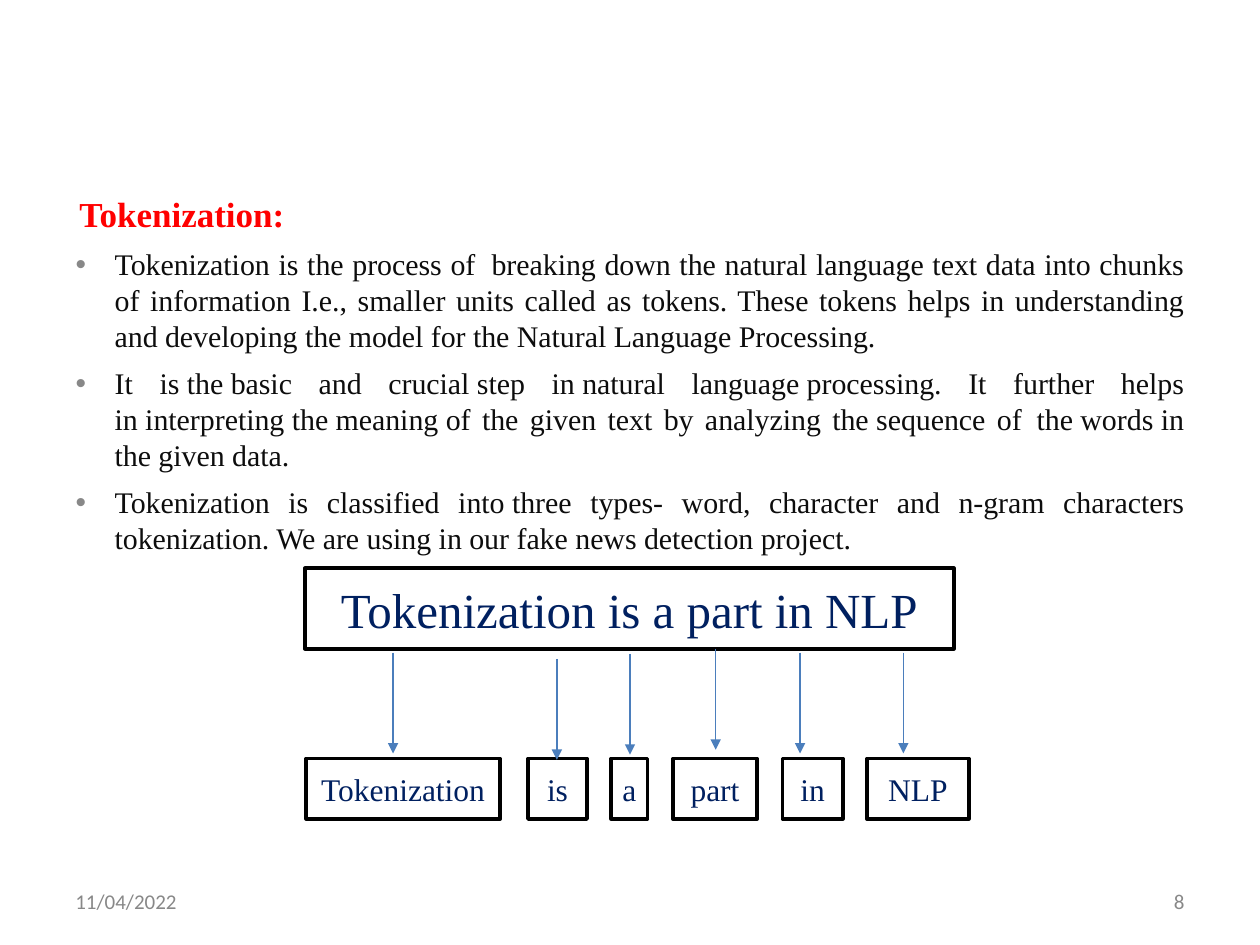
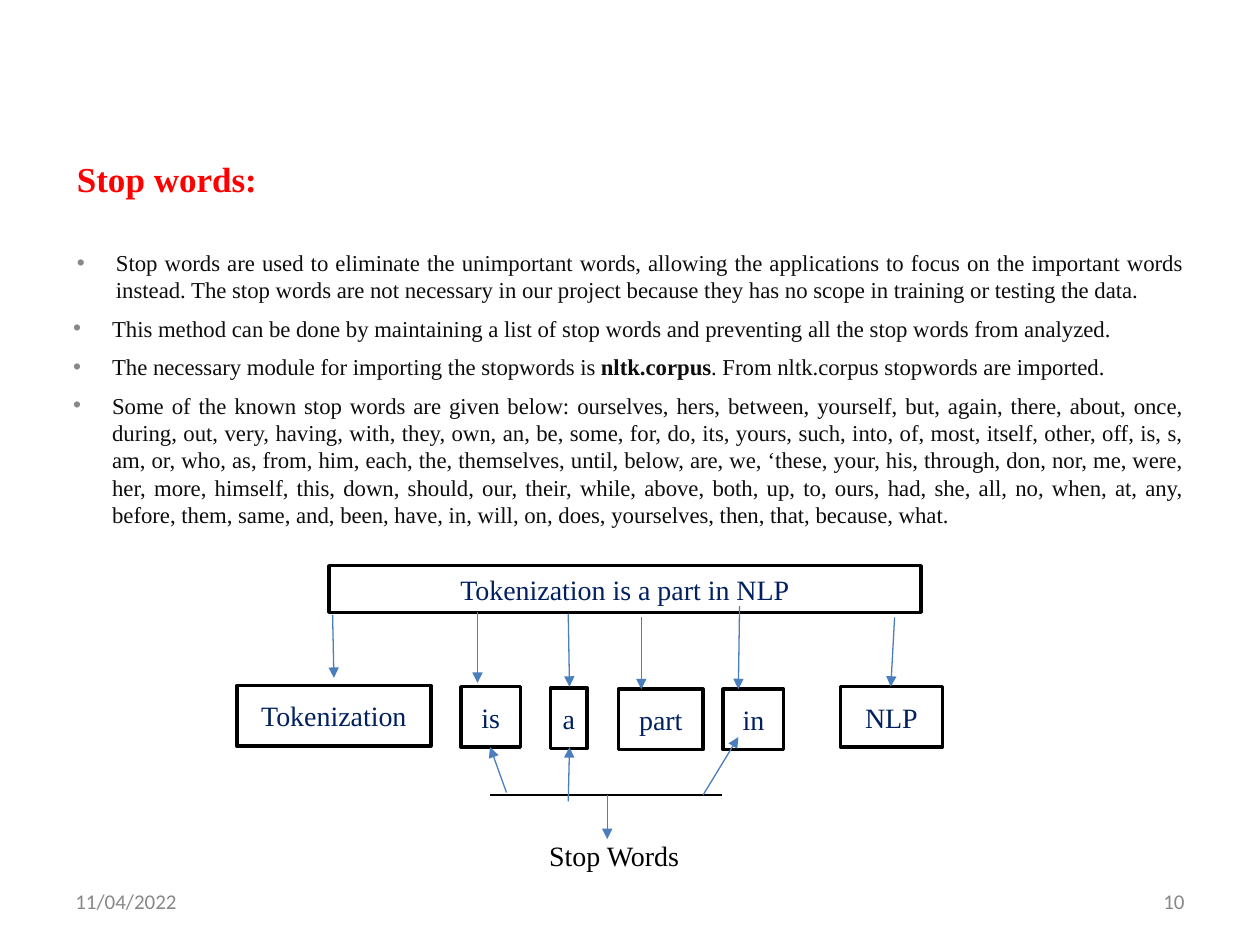
from lxml import etree
from pptx import Presentation
from pptx.dml.color import RGBColor
from pptx.enum.shapes import MSO_CONNECTOR, MSO_SHAPE
from pptx.enum.text import MSO_ANCHOR, MSO_AUTO_SIZE, PP_ALIGN
from pptx.oxml.ns import qn
from pptx.util import Inches, Pt

LEFT, CENTER, RIGHT, JUSTIFY = PP_ALIGN.LEFT, PP_ALIGN.CENTER, PP_ALIGN.RIGHT, PP_ALIGN.JUSTIFY
TOP, MIDDLE = MSO_ANCHOR.TOP, MSO_ANCHOR.MIDDLE
NO_FIT = MSO_AUTO_SIZE.NONE
RECT = MSO_SHAPE.RECTANGLE
STRAIGHT = MSO_CONNECTOR.STRAIGHT

RED = RGBColor(0xFF, 0x00, 0x00)
INK = RGBColor(0x0D, 0x0D, 0x0D)
GREY = RGBColor(0x88, 0x88, 0x88)
NAVY = RGBColor(0x00, 0x20, 0x60)
BLUE = RGBColor(0x4B, 0x7E, 0xBC)
BLACK = RGBColor(0x00, 0x00, 0x00)
WHITE = RGBColor(0xFF, 0xFF, 0xFF)
SERIF, SANS = "Times New Roman", "Calibri"

SENTENCE = "Tokenization is a part in NLP"
TOKENS = SENTENCE.split()
TOKEN_WIDTHS = [1.54, 0.47, 0.29, 0.67, 0.48, 0.81]
TOKEN_HEIGHT = 0.48

TOKENIZATION_POINTS = [
    ["Tokenization is the process of\u00a0 breaking down the natural language text data into "
     "chunks of information I.e., smaller units called as tokens. These tokens helps in "
     "understanding and developing the model for the Natural Language Processing."],
    ["It is\u00a0the\u00a0basic and crucial\u00a0step in\u00a0natural language\u00a0processing. "
     "It further helps in\u00a0interpreting\u00a0the\u00a0meaning\u00a0of the given text by "
     "analyzing the\u00a0sequence of\u00a0\u00a0the\u00a0words\u00a0in the given data."],
    ["Tokenization is classified into\u00a0three types- word, character and n-gram characters "
     "tokenization. We are\u00a0using in our\u00a0fake news detection project."],
]
STOP_WORD_POINTS = [
    ["Stop words are used to eliminate the unimportant words, allowing the applications to "
     "focus on the important words instead. The stop words are not necessary in our project "
     "because they has no scope in training or testing the data."],
    ["This\u00a0method can\u00a0be done\u00a0by maintaining a list of stop words and preventing "
     "all the stop words from analyzed."],
    ["The necessary module for importing the stopwords is ", "nltk.corpus",
     ". From nltk.corpus stopwords are imported."],
    ["Some of the known stop words are given below: ourselves, hers, between, yourself, but, "
     "again, there, about, once, during, out, very, having, with, they, own, an, be, some, for, "
     "do, its, yours, such, into, of, most, itself, other, off, is, s, am, or, who, as, from, "
     "him, each, the, themselves, until, below, are, we, \u2018these, your, his, through, don, "
     "nor, me, were, her, more, himself, this, down, should, our, their, while, above, both, up, "
     "to, ours, had, she, all, no, when, at, any, before, them, same, and, been, have, in, will, "
     "on, does, yourselves, then, that, because, what."],
]


def add_run(p, text, size, color, font=SERIF, bold=False):
    """Add one formatted run to a paragraph."""
    r = p.add_run()
    r.text = text
    r.font.size = Pt(size)
    r.font.name = font
    r.font.bold = bold
    r.font.color.rgb = color


def format_paragraph(p, margin, indent, before, bullet=False):
    """Justify a paragraph and set its indents, spacing and bullet."""
    p.alignment = JUSTIFY
    p.line_spacing = 1.0
    p.space_before = Pt(before)
    pPr = p._p.get_or_add_pPr()
    pPr.set("marL", str(Inches(margin)))
    pPr.set("indent", str(Inches(indent)))
    if bullet:
        clr = etree.SubElement(pPr, qn("a:buClr"))
        etree.SubElement(clr, qn("a:srgbClr"), val=str(GREY))
        etree.SubElement(pPr, qn("a:buFont"), typeface="Arial")
        etree.SubElement(pPr, qn("a:buChar"), char="\u2022")


def add_textbox(s, box, text, size, color, font=SERIF, align=LEFT, anchor=TOP, wrap=True):
    """Add a text box holding one run."""
    tf = s.shapes.add_textbox(*map(Inches, box)).text_frame
    tf.word_wrap = wrap
    tf.vertical_anchor = anchor
    p = tf.paragraphs[0]
    p.alignment = align
    add_run(p, text, size, color, font)


def add_slide(prs, number):
    """Add a slide with the shared date and number footer."""
    s = prs.slides.add_slide(prs.slide_layouts[0])
    title = s.shapes.title._element
    title.getparent().remove(title)
    for left, text, align in ((0.5, "11/04/2022", LEFT), (7.17, str(number), RIGHT)):
        add_textbox(s, (left, 6.95, 2.33, 0.4), text, 12, GREY, SANS, align, MIDDLE)
    return s


def fill_body(s, box, heading, points, size, first_margin=0.31, first_gap=6.4):
    """Fill the body placeholder with a red heading and bulleted points."""
    sp = s.placeholders[1]
    sp.left, sp.top, sp.width, sp.height = map(Inches, box)
    tf = sp.text_frame
    tf.auto_size = NO_FIT
    tf.vertical_anchor = TOP
    p = tf.paragraphs[0]
    format_paragraph(p, 0.5, -0.47, 6.4)
    add_run(p, heading, 20, RED, bold=True)
    for i, runs in enumerate(points):
        p = tf.add_paragraph()
        margin, gap = (0.31, 6.4) if i else (first_margin, first_gap)
        format_paragraph(p, margin, -0.31, gap, bullet=True)
        for j, text in enumerate(runs):
            add_run(p, text, size, INK, bold=j % 2 == 1)


def add_box(s, box, text, size):
    """Add a white box with a black outline and centred text."""
    sp = s.shapes.add_shape(RECT, *map(Inches, box))
    sp.shadow.inherit = False
    sp.fill.solid()
    sp.fill.fore_color.rgb = WHITE
    sp.line.color.rgb = BLACK
    sp.line.width = Pt(2)
    tf = sp.text_frame
    tf.word_wrap = False
    tf.vertical_anchor = MIDDLE
    p = tf.paragraphs[0]
    p.alignment = CENTER
    add_run(p, text, size, NAVY)


def add_line(s, ends, color=BLUE, arrow=True):
    """Add a thin straight line, with an arrowhead at its end if asked."""
    c = s.shapes.add_connector(STRAIGHT, *map(Inches, ends))
    c.line.color.rgb = color
    c.line.width = Pt(0.75)
    if arrow:
        etree.SubElement(c.line._get_or_add_ln(), qn("a:tailEnd"), type="triangle")
    etree.SubElement(c._element.spPr, qn("a:effectLst"))


def add_token_diagram(s, sentence_box, sentence_size, token_size, corners, arrows):
    """Draw the sentence, its token boxes and the arrows between them."""
    add_box(s, sentence_box, SENTENCE, sentence_size)
    for text, width, (left, top) in zip(TOKENS, TOKEN_WIDTHS, corners):
        add_box(s, (left, top, width, TOKEN_HEIGHT), text, token_size)
    for ends in arrows:
        add_line(s, ends)


def build_tokenization(prs):
    """Build the tokenization slide."""
    s = add_slide(prs, 8)
    fill_body(s, (0.5, 1.48, 9, 3.55), "Tokenization:", TOKENIZATION_POINTS, 17.1)
    lefts = (2.43, 4.19, 4.85, 5.34, 6.21, 6.88)
    starts = ((3.12, 5.18), (4.42, 5.23), (5, 5.19), (5.68, 5.15), (6.35, 5.18), (7.17, 5.18))
    add_token_diagram(s, (2.42, 4.51, 5.15, 0.64), 28, 18,
                      [(x, 6.02) for x in lefts],
                      [(x, y, x, y + 0.8) for x, y in starts])


def build_stop_words(prs):
    """Build the stop words slide."""
    s = add_slide(prs, 10)
    fill_body(s, (0.48, 1.2, 9, 3.54), "Stop words:", STOP_WORD_POINTS, 13, 0.34, 28)
    corners = ((1.88, 5.44), (3.66, 5.45), (4.37, 5.46), (4.91, 5.47), (5.74, 5.47), (6.67, 5.45))
    arrows = ((2.64, 4.88, 2.65, 5.38), (3.79, 4.86, 3.79, 5.42), (4.51, 4.87, 4.52, 5.45),
              (5.09, 4.9, 5.09, 5.47), (5.87, 4.81, 5.86, 5.47), (7.1, 4.9, 7.07, 5.45))
    add_token_diagram(s, (2.61, 4.49, 4.7, 0.37), 16, 16, corners, arrows)
    add_line(s, (3.89, 6.31, 5.73, 6.31), BLACK, arrow=False)
    for ends in ((4.02, 6.29, 3.89, 5.93), (4.51, 6.36, 4.52, 5.93),
                 (5.58, 6.31, 5.86, 5.85), (4.82, 6.31, 4.82, 6.66)):
        add_line(s, ends)
    add_textbox(s, (4.26, 6.61, 1.25, 0.37), "Stop Words", 16, BLACK, wrap=False)


def main():
    """Build and save the presentation."""
    prs = Presentation()
    prs.slide_width, prs.slide_height = Inches(10), Inches(7.5)
    build_tokenization(prs)
    build_stop_words(prs)
    prs.save("out.pptx")


main()
